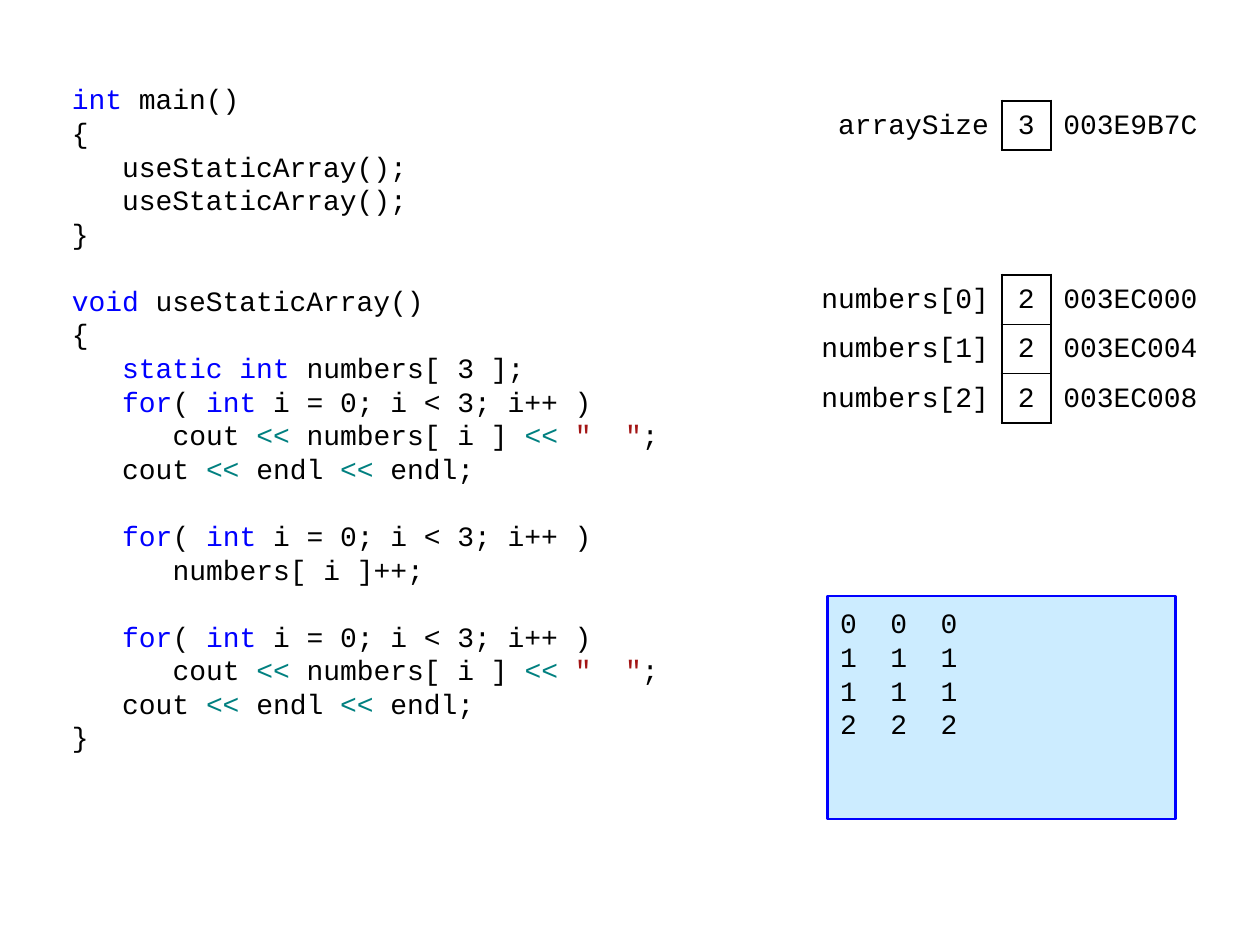
from dataclasses import dataclass
from typing import NamedTuple

from pptx import Presentation
from pptx.dml.color import RGBColor
from pptx.enum.shapes import MSO_SHAPE as Shape
from pptx.enum.text import MSO_ANCHOR as Anchor, MSO_AUTO_SIZE as AutoSize, PP_ALIGN as Align
from pptx.oxml.ns import qn
from pptx.util import Inches, Pt
from lxml.etree import SubElement


@dataclass(frozen=True)
class Theme:
    font: str = "Courier New"
    size: float = 16
    line_pitch: float = 19.2
    plain: str = "000000"
    keyword: str = "0000FF"
    operator: str = "008080"
    string: str = "A31515"
    console: str = "CCECFF"
    thick: float = 1.5
    thin: float = 0.75


class Span(NamedTuple):
    text: str
    color: str


class CodeLine(NamedTuple):
    depth: int
    spans: tuple
    gap: bool = False


class Area(NamedTuple):
    """Place on the page grid, in columns and rows."""
    left: float
    top: float
    width: float
    height: float


class Variable(NamedTuple):
    name: str
    value: str
    address: str


THEME = Theme()
GRID_COLUMNS, GRID_ROWS = 100, 75
WIDTH, HEIGHT = Inches(10), Inches(7.5)
INDENT = Inches(0.4)  # three characters of code
MEMORY_COLUMNS = (15.7, 3.9, 13.8)
MEMORY_ROW = 3.93
NO_STYLE = "{2D5ABB26-0587-4C30-8999-92F81FD0307C}"


def across(columns: float) -> int:
    return round(WIDTH * columns / GRID_COLUMNS)


def down(rows: float) -> int:
    return round(HEIGHT * rows / GRID_ROWS)


def place(area: Area) -> tuple:
    return across(area.left), down(area.top), across(area.width), down(area.height)


def write(para, text: str, *, color: str = THEME.plain, align=Align.LEFT,
          before: float = 0, spacing: float = 1.0) -> None:
    """Add one formatted span to a paragraph."""
    para.alignment = align
    para.space_before, para.space_after = Pt(before), Pt(0)
    para.line_spacing = spacing
    span = para.add_run()
    span.text = text
    span.font.name, span.font.size = THEME.font, Pt(THEME.size)
    span.font.color.rgb = RGBColor.from_string(color)


def paragraphs(frame, count: int) -> list:
    return [frame.paragraphs[0]] + [frame.add_paragraph() for _ in range(count - 1)]


def plain(text: str) -> Span:
    return Span(text, THEME.plain)


def keyword(text: str) -> Span:
    return Span(text, THEME.keyword)


def operator(text: str) -> Span:
    return Span(text, THEME.operator)


def draw_code(box, area: Area, lines: list) -> None:
    box.left, box.top, box.width, box.height = place(area)
    frame = box.text_frame
    frame.auto_size, frame.word_wrap = AutoSize.NONE, True
    frame.vertical_anchor = Anchor.TOP
    for para, line in zip(paragraphs(frame, len(lines)), lines):
        for span in line.spans:
            write(para, span.text, color=span.color,
                  before=THEME.line_pitch if line.gap else 0)
        properties = para._p.get_or_add_pPr()
        properties.set("marL", str(INDENT * line.depth))
        properties.set("indent", "0")
        SubElement(properties, qn("a:buNone"))


def set_borders(cell, widths: dict) -> None:
    """Draw black borders; the keys are L, R, T and B, in that order."""
    properties = cell._tc.get_or_add_tcPr()
    for index, (side, width) in enumerate(widths.items()):
        line = properties.makeelement(qn(f"a:ln{side}"), {"w": str(Pt(width))})
        fill = SubElement(line, qn("a:solidFill"))
        SubElement(fill, qn("a:srgbClr"), val=THEME.plain)
        properties.insert(index, line)


def draw_memory(page, left: float, top: float, variables: list) -> None:
    count = len(variables)
    area = Area(left, top, sum(MEMORY_COLUMNS), MEMORY_ROW * count)
    table = page.shapes.add_table(count, len(MEMORY_COLUMNS), *place(area)).table
    table.first_row = table.horz_banding = False
    table._tbl.tblPr.find(qn("a:tableStyleId")).text = NO_STYLE
    for column, width in zip(table.columns, MEMORY_COLUMNS):
        column.width = across(width)
    for index, variable in enumerate(variables):
        table.rows[index].height = down(MEMORY_ROW)
        value_borders = {
            "L": THEME.thick, "R": THEME.thick,
            "T": THEME.thin if index else THEME.thick,
            "B": THEME.thin if index < count - 1 else THEME.thick,
        }
        formats = (
            (Align.RIGHT, 0.1, {"R": THEME.thick}),
            (Align.CENTER, 0, value_borders),
            (Align.LEFT, 0.1, {"L": THEME.thick}),
        )
        for cell, text, (align, margin, borders) in zip(
                table.rows[index].cells, variable, formats):
            cell.fill.background()
            cell.vertical_anchor = Anchor.MIDDLE
            cell.margin_left = cell.margin_right = Inches(margin)
            cell.margin_top = cell.margin_bottom = 0
            write(cell.text_frame.paragraphs[0], text, align=align,
                  before=THEME.size * 0.2, spacing=1.1)
            set_borders(cell, borders)


def draw_console(page, area: Area, lines: list) -> None:
    box = page.shapes.add_shape(Shape.RECTANGLE, *place(area))
    box.shadow.inherit = False
    box.fill.solid()
    box.fill.fore_color.rgb = RGBColor.from_string(THEME.console)
    box.line.color.rgb = RGBColor.from_string(THEME.keyword)
    box.line.width = Pt(THEME.thick)
    frame = box.text_frame
    frame.word_wrap, frame.vertical_anchor = True, Anchor.TOP
    frame.margin_top = Inches(0.08)
    for para, text in zip(paragraphs(frame, len(lines)), lines):
        write(para, text)


def program() -> list:
    call = CodeLine(1, (plain("useStaticArray();"),))
    opening, closing = CodeLine(0, (plain("{"),)), CodeLine(0, (plain("}"),))
    loop = CodeLine(1, (keyword("for"), plain("( "), keyword("int"),
                        plain(" i = 0; i < 3; i++ )")))
    output = [
        loop,
        CodeLine(2, (plain("cout "), operator("<<"), plain(" numbers[ i ] "),
                     operator("<< "), Span('"  "', THEME.string), plain(";"))),
        CodeLine(1, (plain("cout "), operator("<<"), plain(" endl "),
                     operator("<<"), plain(" endl;"))),
    ]
    spaced_loop = loop._replace(gap=True)
    return [
        CodeLine(0, (keyword("int"), plain(" main()"))),
        opening, call, call, closing,
        CodeLine(0, (keyword("void "), plain("useStaticArray()")), gap=True),
        opening,
        CodeLine(1, (keyword("static int"), plain(" numbers[ 3 ];"))),
        *output,
        spaced_loop, CodeLine(2, (plain("numbers[ i ]++;"),)),
        spaced_loop, *output[1:],
        closing,
    ]


def main() -> None:
    deck = Presentation()
    deck.slide_width, deck.slide_height = WIDTH, HEIGHT
    page = deck.slides.add_slide(deck.slide_layouts[1])
    title = page.shapes.title._element
    title.getparent().remove(title)

    # Source code
    draw_code(page.placeholders[1], Area(4.7, 6, 55.1, 59.1), program())

    # Memory: array elements, then the constant
    addresses = ("003EC000", "003EC004", "003EC008")
    draw_memory(page, 63.8, 21.8, [Variable(f"numbers[{index}]", "2", address)
                                   for index, address in enumerate(addresses)])
    draw_memory(page, 63.8, 8, [Variable("arraySize", "3", "003E9B7C")])

    # Console output
    draw_console(page, Area(65.7, 47.3, 27.6, 17.7),
                 ["  ".join(str(number) * 3) for number in (0, 1, 1, 2)])
    deck.save("out.pptx")


if __name__ == "__main__":
    main()
